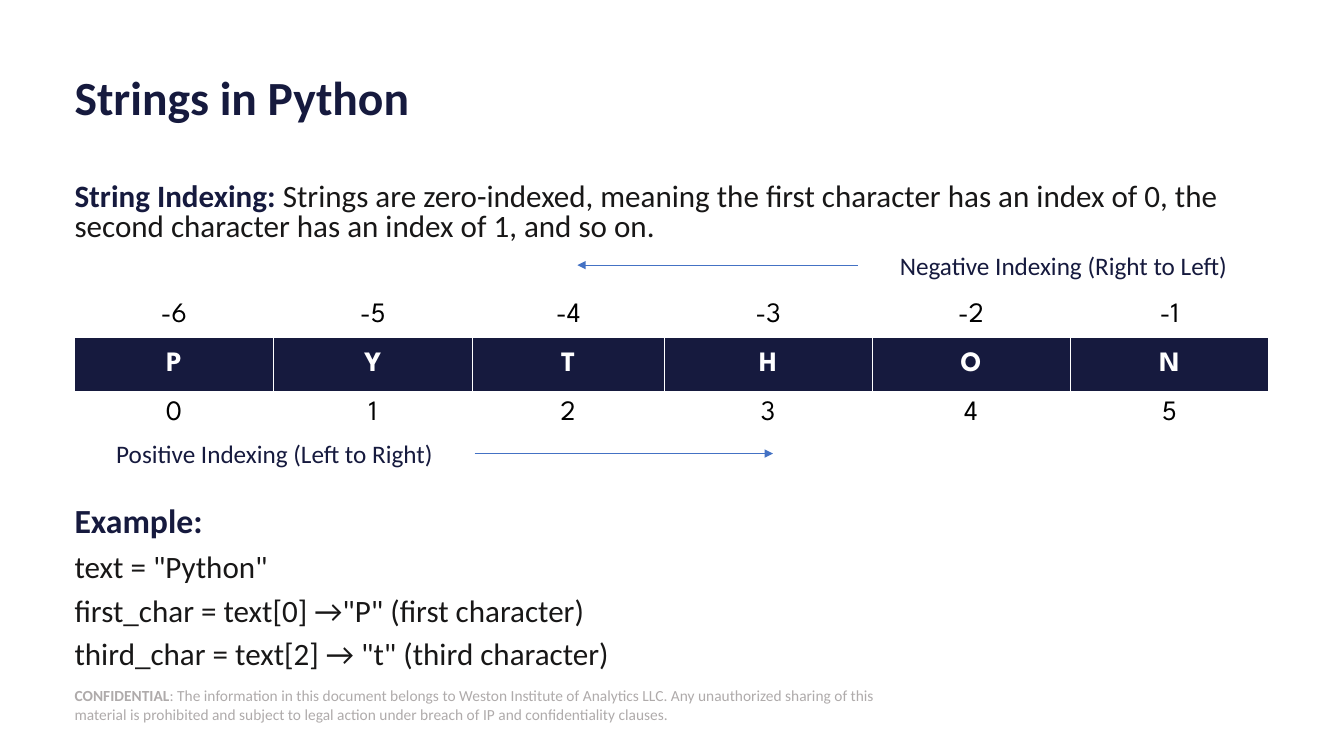
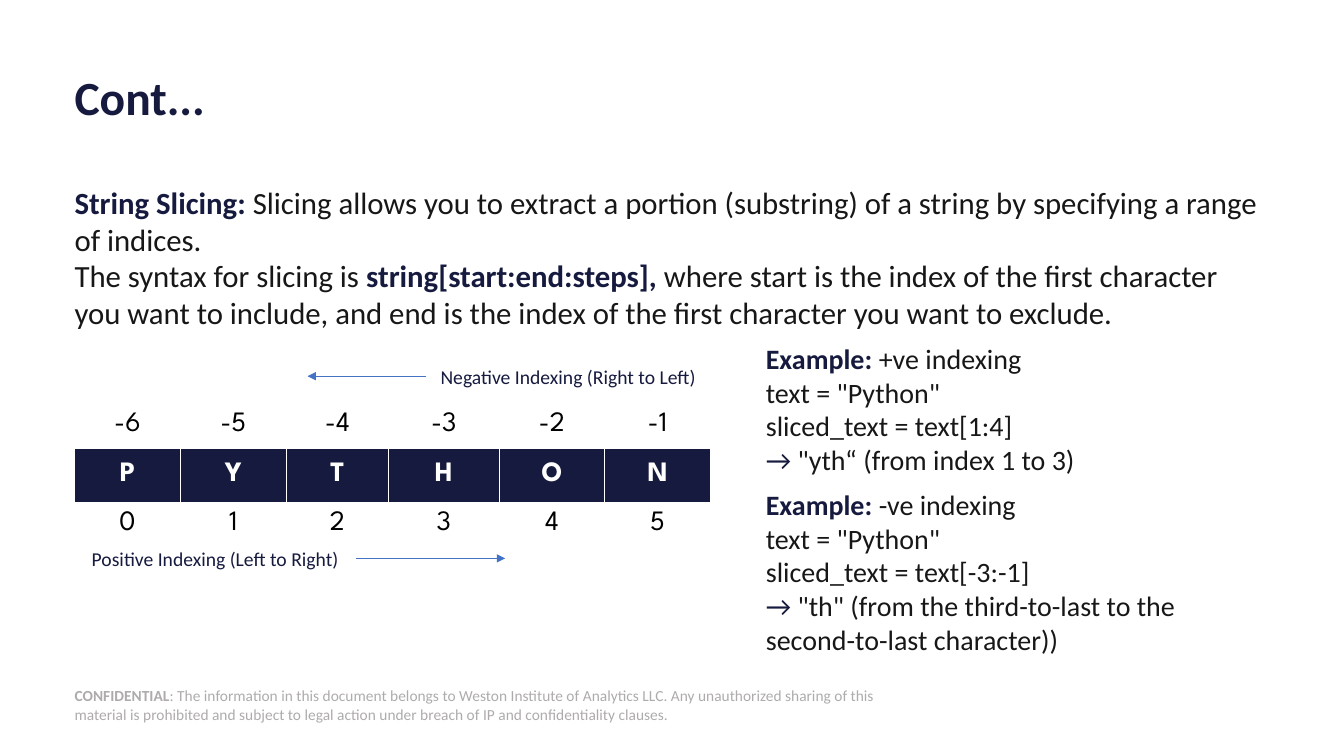
from dataclasses import dataclass

import pptx
import pptx.dml.color
import pptx.enum.shapes
import pptx.enum.text
import pptx.oxml
import pptx.oxml.ns
import pptx.presentation
import pptx.shapes.autoshape
import pptx.slide
import pptx.table
import pptx.text.text
import pptx.util
from lxml import etree
from pptx.dml.color import RGBColor
from pptx.util import Cm

# Shared colours, fonts and measures
NAVY = RGBColor(0x16, 0x1A, 0x3E)
INK = RGBColor(0x18, 0x17, 0x17)
BLACK = RGBColor(0, 0, 0)
WHITE = RGBColor(0xFF, 0xFF, 0xFF)
GREY = RGBColor(0xAF, 0xAB, 0xAB)
BLUE = RGBColor(0x44, 0x72, 0xC4)

BODY_FONT = "Calibri"
TABLE_FONT = "League Spartan"
LEFT = 1.88
CONTENT_WIDTH = 30.1
BODY_TOP = 4.62
MIDDLE = pptx.enum.text.MSO_ANCHOR.MIDDLE
CENTER = pptx.enum.text.PP_ALIGN.CENTER

LETTERS = "PYTHON"
COLUMN_SHARES = (1.97, 1.97, 1.9, 2.06, 1.96, 1.97)


@dataclass(frozen=True)
class Box:
    """A rectangle in centimetres."""
    left: float
    top: float
    width: float
    height: float


@dataclass(frozen=True)
class Run:
    text: str
    color: RGBColor = INK
    bold: bool = False
    size: float = 0  # 0 takes the size of the text box


@dataclass(frozen=True)
class Arrow:
    start: float
    end: float
    y: float


@dataclass(frozen=True)
class IndexDiagram:
    table: Box
    rows: tuple[float, float, float]
    label_size: float
    negative_label: Box
    negative_arrow: Arrow
    positive_label: Box
    positive_arrow: Arrow


Paragraphs = list[list[Run]]


def apply_format(target: object, values: dict[str, object]) -> None:
    for name, value in values.items():
        setattr(target, name, value)


def add_run(paragraph: pptx.text.text._Paragraph, run: Run, size: float,
            font_name: str = BODY_FONT) -> None:
    text_run = paragraph.add_run()
    text_run.text = run.text
    apply_format(text_run.font, {
        "name": font_name,
        "size": pptx.util.Pt(run.size or size),
        "bold": run.bold,
    })
    text_run.font.color.rgb = run.color


def add_text(slide: pptx.slide.Slide, box: Box, paragraphs: Paragraphs, size: float,
             inset: float = 0, frame_format: dict[str, object] | None = None,
             paragraph_format: dict[str, object] | None = None,
             gap: float = 0) -> pptx.shapes.autoshape.Shape:
    shape = slide.shapes.add_textbox(Cm(box.left), Cm(box.top), Cm(box.width), Cm(box.height))
    frame = shape.text_frame
    margins = {f"margin_{side}": Cm(inset) for side in ("left", "top", "right", "bottom")}
    apply_format(frame, {"word_wrap": True} | margins | (frame_format or {}))
    for number, runs in enumerate(paragraphs):
        paragraph = frame.add_paragraph() if number else frame.paragraphs[0]
        apply_format(paragraph, paragraph_format or {})
        if number and gap:
            paragraph.space_before = pptx.util.Pt(gap)
        for run in runs:
            add_run(paragraph, run, size)
    return shape


def add_label(slide: pptx.slide.Slide, box: Box, text: str, size: float) -> None:
    add_text(slide, box, [[Run(text, NAVY)]], size, inset=0.13,
             paragraph_format={"alignment": CENTER})


def add_arrow(slide: pptx.slide.Slide, arrow: Arrow) -> None:
    connector = slide.shapes.add_connector(
        pptx.enum.shapes.MSO_CONNECTOR.STRAIGHT,
        Cm(arrow.start), Cm(arrow.y), Cm(arrow.end), Cm(arrow.y))
    connector.line.color.rgb = BLUE
    connector.line.width = pptx.util.Pt(0.5)
    head = etree.SubElement(connector.line._get_or_add_ln(), pptx.oxml.ns.qn("a:tailEnd"))
    head.set("type", "triangle")
    etree.SubElement(connector._element.spPr, pptx.oxml.ns.qn("a:effectLst"))


def set_borders(cell: pptx.table._Cell) -> None:
    properties = cell._tc.get_or_add_tcPr()
    namespace = pptx.oxml.ns.nsdecls("a")
    for position, side in enumerate(("lnL", "lnR", "lnT", "lnB")):
        properties.insert(position, pptx.oxml.parse_xml(
            f'<a:{side} {namespace} w="9525"><a:solidFill>'
            f'<a:srgbClr val="{WHITE}"/></a:solidFill></a:{side}>'))


def add_index_diagram(slide: pptx.slide.Slide, diagram: IndexDiagram) -> None:
    # Table of letters between negative and positive indices
    count = len(LETTERS)
    box = diagram.table
    table = slide.shapes.add_table(
        3, count, Cm(box.left), Cm(box.top), Cm(box.width), Cm(box.height)).table
    apply_format(table, {"first_row": False, "horz_banding": False})
    for column, share in zip(table.columns, COLUMN_SHARES):
        column.width = Cm(box.width * share / sum(COLUMN_SHARES))
    rows = (
        ([str(index) for index in range(-count, 0)], BLACK, WHITE, False),
        (list(LETTERS), WHITE, NAVY, True),
        ([str(index) for index in range(count)], BLACK, WHITE, False),
    )
    for row, (texts, color, fill, bold) in enumerate(rows):
        table.rows[row].height = Cm(diagram.rows[row])
        for column, text in enumerate(texts):
            cell = table.cell(row, column)
            cell.vertical_anchor = MIDDLE
            cell.fill.solid()
            cell.fill.fore_color.rgb = fill
            set_borders(cell)
            paragraph = cell.text_frame.paragraphs[0]
            paragraph.alignment = CENTER
            add_run(paragraph, Run(text, color, bold), 20, TABLE_FONT)

    # Reading directions
    add_label(slide, diagram.negative_label, "Negative Indexing (Right to Left)", diagram.label_size)
    add_label(slide, diagram.positive_label, "Positive Indexing (Left to Right)", diagram.label_size)
    add_arrow(slide, diagram.negative_arrow)
    add_arrow(slide, diagram.positive_arrow)


def add_slide(presentation: pptx.presentation.Presentation, title: str) -> pptx.slide.Slide:
    """Add a slide with the shared footer and title."""
    slide = presentation.slides.add_slide(presentation.slide_layouts[6])
    footer = add_text(slide, Box(LEFT, 17.25, 20.75, 1.02), [[
        Run("CONFIDENTIAL", GREY, True),
        Run(": The information in this document belongs to Weston Institute of Analytics LLC. "
            "Any unauthorized sharing of this material is prohibited and subject to legal action "
            "under breach of IP and confidentiality clauses.", GREY),
    ]], 11, frame_format={"vertical_anchor": MIDDLE})
    footer.fill.solid()
    footer.fill.fore_color.rgb = WHITE
    add_text(slide, Box(LEFT, 1.68, CONTENT_WIDTH, 1.7), [[Run(title, NAVY, True)]], 34,
             frame_format={"vertical_anchor": MIDDLE}, paragraph_format={"line_spacing": 0.9})
    return slide


def build_indexing_slide(presentation: pptx.presentation.Presentation) -> None:
    slide = add_slide(presentation, "Strings in Python")
    tight = {"line_spacing": 0.8}
    add_text(slide, Box(LEFT, BODY_TOP, CONTENT_WIDTH, 1.55), [[
        Run("String Indexing: ", NAVY, True),
        Run("Strings are zero-indexed, meaning the first character has an index of 0, "
            "the second character has an index of 1, and so on."),
    ]], 22.2, paragraph_format=tight)
    add_index_diagram(slide, IndexDiagram(
        table=Box(LEFT, 7.39, CONTENT_WIDTH, 3.59), rows=(1.12, 1.35, 1.12), label_size=18,
        negative_label=Box(21.62, 6.17, 10.36, 1.02),
        negative_arrow=Arrow(21.62, 14.55, 6.68),
        positive_label=Box(LEFT, 10.92, 10.08, 1.02),
        positive_arrow=Arrow(11.96, 19.48, 11.43)))
    add_text(slide, Box(LEFT, 12.8, CONTENT_WIDTH, 4.04), [
        [Run("Example:", NAVY, True, 24.1)],
        [Run('text = "Python"')],
        [Run('first_char = text[0] →"P" (first character)')],
        [Run('third_char = text[2] → "t" (third character)')],
    ], 22.2, paragraph_format=tight, gap=10)


def build_slicing_slide(presentation: pptx.presentation.Presentation) -> None:
    slide = add_slide(presentation, "Cont...")
    add_text(slide, Box(LEFT, BODY_TOP, CONTENT_WIDTH, 3.8), [
        [Run("String Slicing: ", NAVY, True),
         Run("Slicing allows you to extract a portion (substring) of a string by specifying "
             "a range of indices.")],
        [Run("The syntax for slicing is "),
         Run("string[start:end:steps], ", NAVY, True),
         Run("where start is the index of the first character you want to include, "
             "and end is the index of the first character you want to exclude.")],
    ], 22)
    add_index_diagram(slide, IndexDiagram(
        table=Box(LEFT, 10.11, 16.03, 3.66), rows=(1.19, 1.35, 1.12), label_size=14,
        negative_label=Box(10.74, 9.07, 7.16, 0.86),
        negative_arrow=Arrow(10.74, 7.75, 9.48),
        positive_label=Box(LEFT, 13.64, 7.09, 0.86),
        positive_arrow=Arrow(8.97, 12.73, 14.07)))

    # Worked examples
    examples = (
        (8.61, 3.43, "+ve indexing", "[1:4]", ' "yth“ (from index 1 to 3)'),
        (12.29, 4.27, "-ve indexing", "[-3:-1]",
         ' "th" (from the third-to-last to the second-to-last character))'),
    )
    for top, height, kind, indices, result in examples:
        add_text(slide, Box(19.3, top, 12.67, height), [
            [Run("Example: ", NAVY, True), Run(kind)],
            [Run('text = "Python"')],
            [Run(f"sliced_text = text{indices}")],
            [Run("→", NAVY), Run(result)],
        ], 20)


def main() -> None:
    presentation = pptx.Presentation()
    apply_format(presentation, {"slide_width": Cm(33.87), "slide_height": Cm(19.05)})
    build_indexing_slide(presentation)
    build_slicing_slide(presentation)
    presentation.save("out.pptx")


if __name__ == "__main__":
    main()
